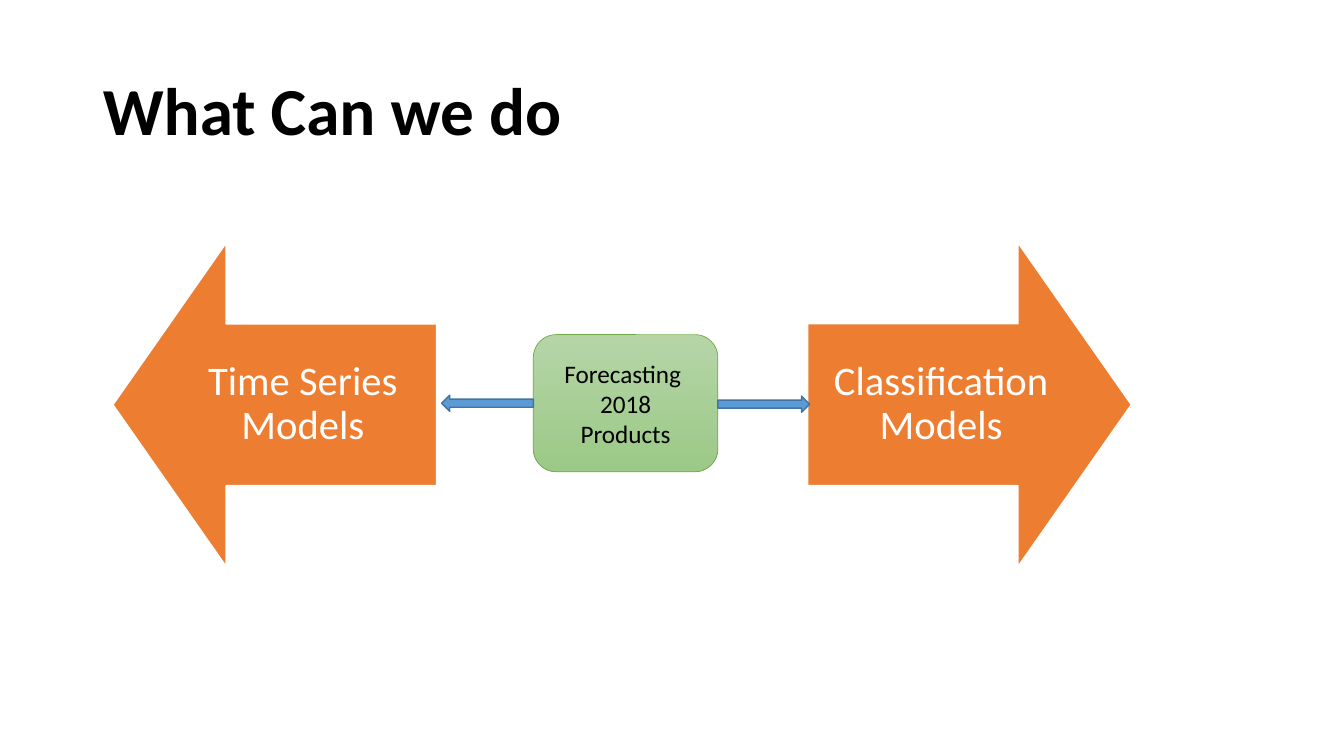
"""Build a slide showing two model families branching from one forecasting task."""
from dataclasses import dataclass

from pptx import Presentation
from pptx.dml.color import RGBColor
from pptx.enum.shapes import MSO_SHAPE
from pptx.enum.text import MSO_ANCHOR, PP_ALIGN
from pptx.util import Inches, Pt

UP_ARROW = MSO_SHAPE.UP_ARROW
RIGHT_ARROW = MSO_SHAPE.RIGHT_ARROW
ROUNDED = MSO_SHAPE.ROUNDED_RECTANGLE
MIDDLE = MSO_ANCHOR.MIDDLE
LEFT, CENTER = PP_ALIGN.LEFT, PP_ALIGN.CENTER


@dataclass(frozen=True)
class Theme:
    font: str = "Calibri"
    black: str = "000000"
    white: str = "FFFFFF"
    orange: str = "ED7D31"
    blue: str = "5B9BD5"
    blue_edge: str = "43739E"
    green_top: str = "B5D5A7"
    green_bottom: str = "9CC987"
    green_edge: str = "70AD47"
    title_size: int = 48
    model_size: int = 29
    task_size: int = 18


THEME = Theme()

HEADING = "What Can we do"
TASK = ["Forecasting ", "2018", "Products"]
MODELS = [
    {"label": "Time Series Models", "left": 1.12, "label_left": 1.68, "turn": 270},
    {"label": "Classification Models", "left": 8.01, "label_left": 8.01, "turn": 90},
]

ARROW_SIZE, ARROW_TOP = 3.21, 2.41
LABEL_WIDTH, LABEL_HEIGHT, LABEL_INSET = 2.65, ARROW_SIZE / 2, 0.23
TASK_LEFT, TASK_TOP, TASK_WIDTH, TASK_HEIGHT = 5.29, 3.32, 1.83, 1.36
LINK_WIDTH, LINK_HEIGHT = 0.91, 0.16
LINKS = [
    {"left": TASK_LEFT + TASK_WIDTH, "top": 3.93, "turn": 0},
    {"left": TASK_LEFT - LINK_WIDTH, "top": 3.92, "turn": 180},
]


def color(value):
    return RGBColor.from_string(value)


def write(frame, lines, size, ink, align=CENTER, spacing=1.0, bold=False):
    frame.word_wrap = True
    frame.vertical_anchor = MIDDLE
    for index, line in enumerate(lines):
        paragraph = frame.add_paragraph() if index else frame.paragraphs[0]
        paragraph.alignment = align
        paragraph.line_spacing = spacing
        run = paragraph.add_run()
        run.text = line
        run.font.name = THEME.font
        run.font.size = Pt(size)
        run.font.bold = bold
        run.font.color.rgb = color(ink)


def add_outlined(kind, box, edge, weight, fill=None, turn=0):
    shape = slide.shapes.add_shape(kind, *map(Inches, box))
    shape.shadow.inherit = False
    shape.rotation = turn
    shape.line.color.rgb = color(edge)
    shape.line.width = Pt(weight)
    if fill:
        shape.fill.solid()
        shape.fill.fore_color.rgb = color(fill)
    return shape


deck = Presentation()
deck.slide_width, deck.slide_height = Inches(13.33), Inches(7.5)
slide = deck.slides.add_slide(deck.slide_layouts[5])

title = slide.shapes.title
title.left, title.top, title.width, title.height = map(Inches, (0.92, 0.4, 11.5, 1.45))
write(title.text_frame, [HEADING], THEME.title_size, THEME.black, LEFT, 0.9, True)

for model in MODELS:
    arrow = add_outlined(UP_ARROW, (model["left"], ARROW_TOP, ARROW_SIZE, ARROW_SIZE),
                         THEME.white, 1, THEME.orange, model["turn"])
    arrow.adjustments[0], arrow.adjustments[1] = 0.5, 0.35
    label_top = ARROW_TOP + (ARROW_SIZE - LABEL_HEIGHT) / 2
    label = slide.shapes.add_textbox(*map(Inches, (
        model["label_left"], label_top, LABEL_WIDTH, LABEL_HEIGHT))).text_frame
    label.margin_left = label.margin_right = Inches(LABEL_INSET)
    label.margin_top = label.margin_bottom = Inches(LABEL_INSET)
    write(label, [model["label"]], THEME.model_size, THEME.white, spacing=0.9)

task = add_outlined(ROUNDED, (TASK_LEFT, TASK_TOP, TASK_WIDTH, TASK_HEIGHT),
                    THEME.green_edge, 0.5)
task.fill.gradient()
task.fill.gradient_angle = 270
for stop, shade in zip(task.fill.gradient_stops, (THEME.green_top, THEME.green_bottom)):
    stop.color.rgb = color(shade)
write(task.text_frame, TASK, THEME.task_size, THEME.black)

for link in LINKS:
    add_outlined(RIGHT_ARROW, (link["left"], link["top"], LINK_WIDTH, LINK_HEIGHT),
                 THEME.blue_edge, 1, THEME.blue, link["turn"])

deck.save("out.pptx")
